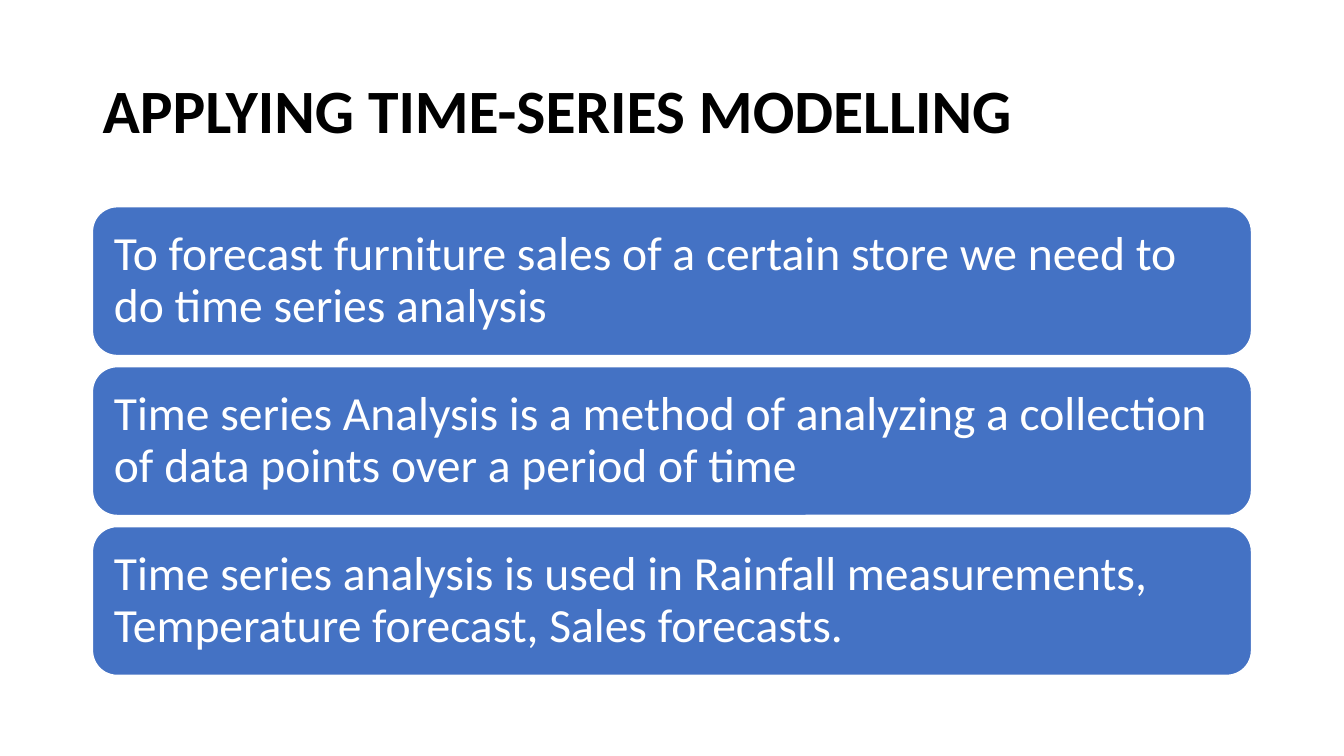
"""Build a slide on applying time-series modelling."""
from pptx import Presentation
from pptx.dml.color import RGBColor as Rgb
from pptx.enum.shapes import MSO_SHAPE as Shape
from pptx.enum.text import MSO_ANCHOR as Anchor, MSO_AUTO_SIZE as Fit, PP_ALIGN as Align
from pptx.util import Cm, Pt

COLORS = {"title": "000000", "card": "4472C4", "white": "FFFFFF"}
POINTS = [
    "To forecast furniture sales of a certain store we need to do time series analysis",
    "Time series Analysis is a method of analyzing a collection of data points over a period of time",
    "Time series analysis is used in Rainfall measurements, Temperature forecast, Sales forecasts.",
]
LEFT, WIDTH = Cm(2.33), Cm(29.21)
TOP, HEIGHT, STEP = Cm(5.21), Cm(3.75), Cm(4.03)


def write(frame, text, size, color, bold=False):
    frame.text = text
    frame.word_wrap = True
    frame.auto_size = Fit.NONE
    frame.vertical_anchor = Anchor.MIDDLE
    para = frame.paragraphs[0]
    para.alignment = Align.LEFT
    para.line_spacing = 0.9
    font = para.font
    font.name = "Calibri"
    font.size = Pt(size)
    font.bold = bold
    font.color.rgb = Rgb.from_string(COLORS[color])


deck = Presentation()
deck.slide_width, deck.slide_height = Cm(33.87), Cm(19.05)
slide = deck.slides.add_slide(deck.slide_layouts[5])

title = slide.shapes.title
title.left, title.top, title.width, title.height = LEFT, Cm(1.01), WIDTH, Cm(3.68)
write(title.text_frame, "APPLYING TIME-SERIES MODELLING", 44, "title", True)

for row, point in enumerate(POINTS):
    card = slide.shapes.add_shape(
        Shape.ROUNDED_RECTANGLE, LEFT, TOP + row * STEP, WIDTH, HEIGHT)
    card.shadow.inherit = False
    card.fill.solid()
    card.fill.fore_color.rgb = Rgb.from_string(COLORS["card"])
    card.line.color.rgb = Rgb.from_string(COLORS["white"])
    card.line.width = Pt(1)
    frame = card.text_frame
    frame.margin_left = frame.margin_right = Cm(0.36)
    frame.margin_top = frame.margin_bottom = Cm(0.36)
    write(frame, point, 34, "white")

deck.save("out.pptx")
